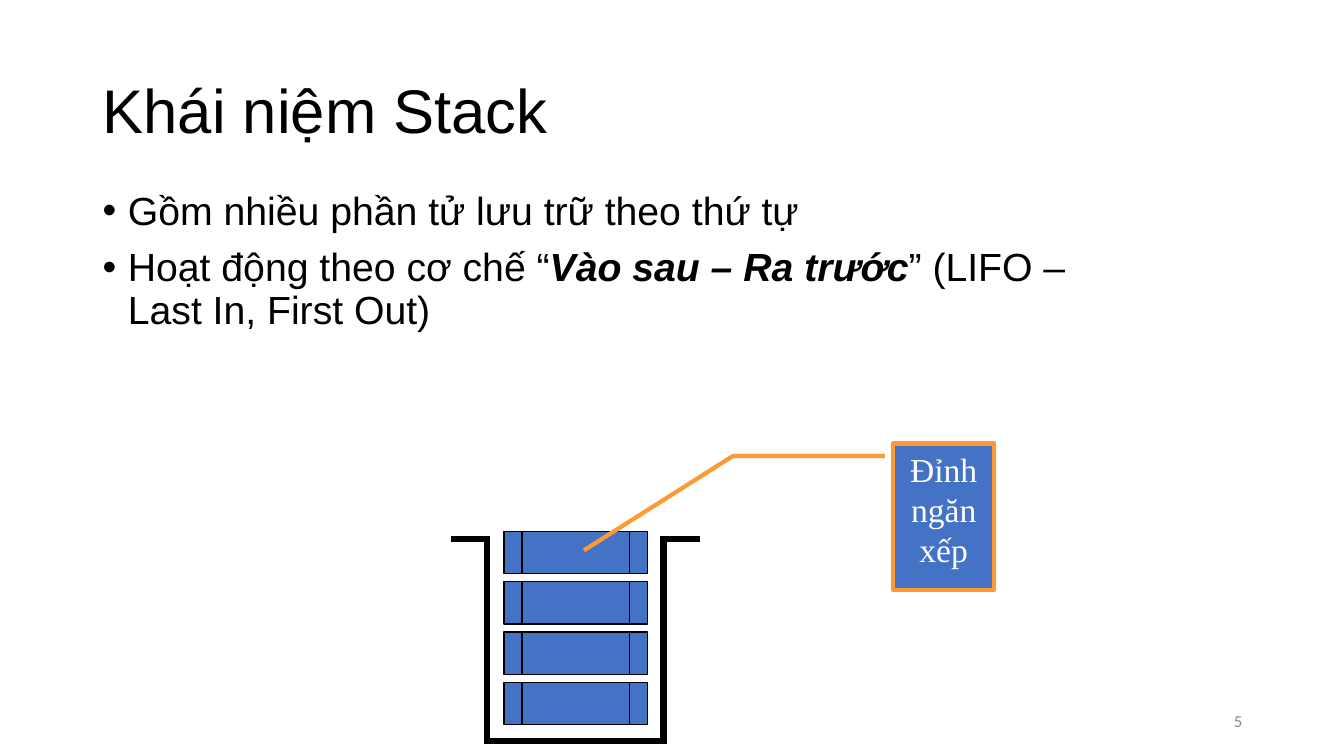
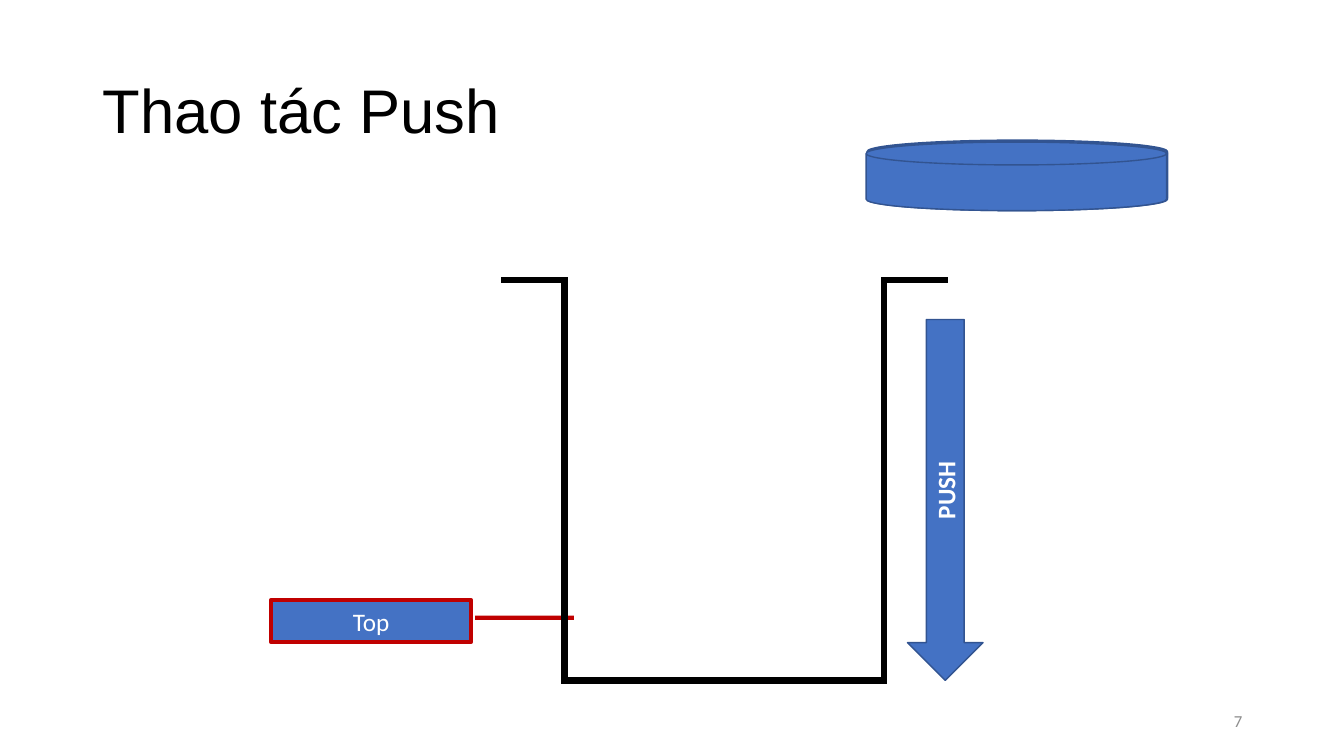
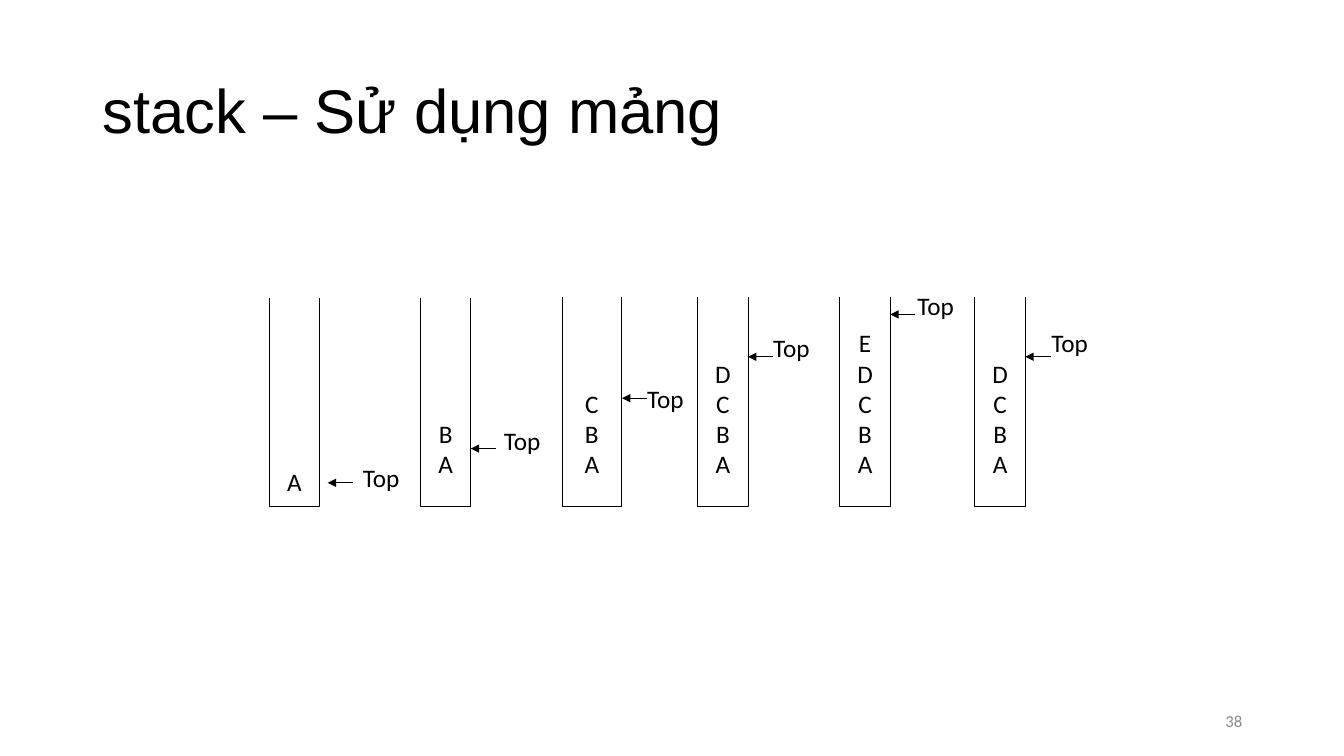
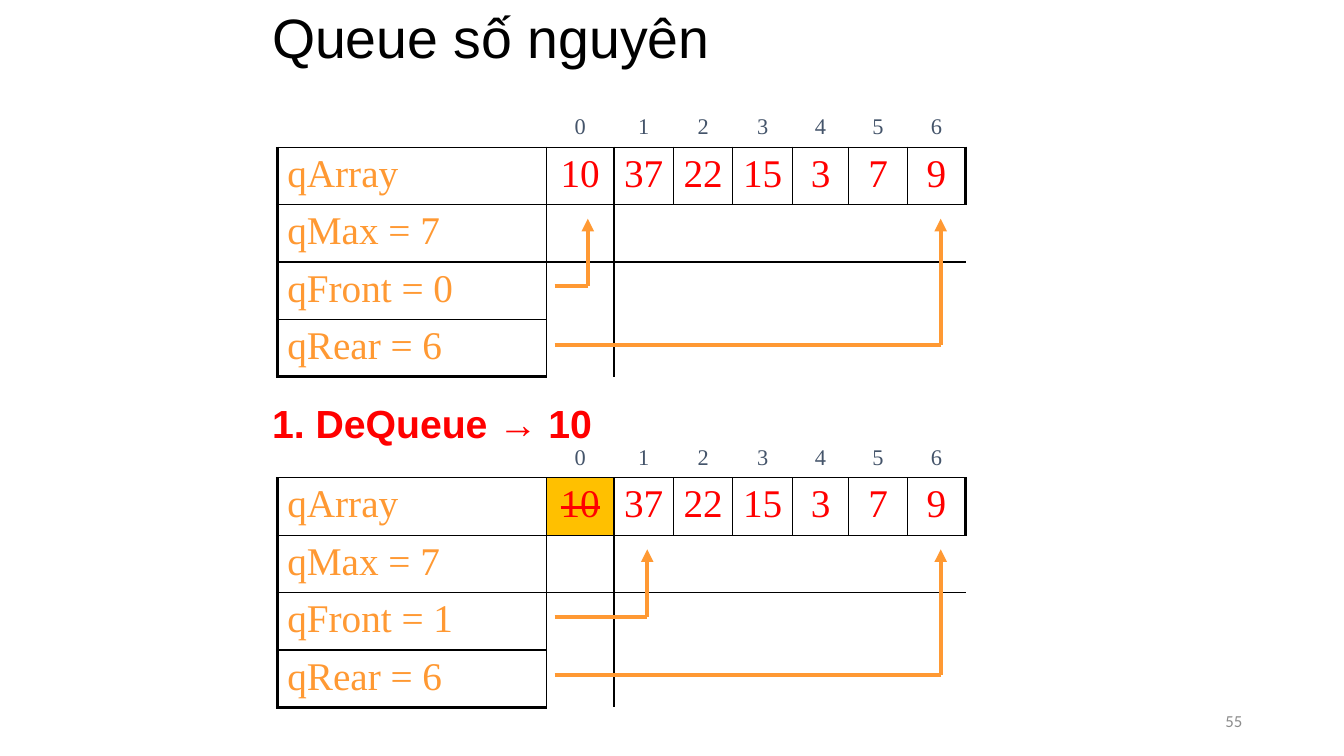
from lxml.etree import SubElement
from pptx import Presentation
from pptx.dml.color import RGBColor
from pptx.enum.shapes import MSO_CONNECTOR, MSO_SHAPE
from pptx.enum.text import MSO_ANCHOR, PP_ALIGN
from pptx.oxml.ns import qn
from pptx.util import Inches, Pt

STRAIGHT = MSO_CONNECTOR.STRAIGHT
RECTANGLE = MSO_SHAPE.RECTANGLE
PROCESS = MSO_SHAPE.FLOWCHART_PREDEFINED_PROCESS
DISK = MSO_SHAPE.FLOWCHART_MAGNETIC_DISK
DOWN_ARROW = MSO_SHAPE.DOWN_ARROW
STRAIGHT_CALLOUT = MSO_SHAPE.LINE_CALLOUT_1
BENT_CALLOUT = MSO_SHAPE.LINE_CALLOUT_2
TOP, MIDDLE, BOTTOM = MSO_ANCHOR.TOP, MSO_ANCHOR.MIDDLE, MSO_ANCHOR.BOTTOM
LEFT, CENTER, RIGHT = PP_ALIGN.LEFT, PP_ALIGN.CENTER, PP_ALIGN.RIGHT

COLORS = {
    "black": "000000",
    "white": "FFFFFF",
    "gray": "8C8C8C",
    "slate": "44546A",
    "blue": "4472C4",
    "navy": "325491",
    "orange": "FF9933",
    "gold": "FFC000",
    "red": "FF0000",
    "dark_red": "C00000",
}
HEADING_FONT = "Arial"
BODY_FONT = "Calibri"
SERIF_FONT = "Times New Roman"
TITLE_BOX = (0.92, 0.4, 11.5, 1.45)
NO_TABLE_STYLE = "{2D5ABB26-0587-4C30-8999-92F81FD0307C}"

QUEUE_LEFT = 2.75
QUEUE_COLUMNS = [2.67, 0.67, 0.59, 0.59, 0.59, 0.56, 0.58, 0.58]
QUEUE_ROWS = [0.37] + [0.57] * 4
QUEUE_VALUES = [10, 37, 22, 15, 3, 7, 9]
REAR_X = 9.33
BORDER_SIDES = {"L": (0, -1), "R": (0, 1), "T": (-1, 0), "B": (1, 0)}


def rgb(color):
    return RGBColor.from_string(COLORS[color])


def inches(values):
    return [Inches(value) for value in values]


def format_text(text_frame, size, font=BODY_FONT, color="black", bold=False,
                align=LEFT, spacing=None, before=None):
    for paragraph in text_frame.paragraphs:
        paragraph.alignment = align
        paragraph.line_spacing = spacing
        paragraph.space_before = before
        for run in paragraph.runs:
            run.font.size = Pt(size)
            run.font.name = font
            run.font.bold = bold
            run.font.color.rgb = rgb(color)


def add_text(slide, box, text, size, anchor=TOP, wrap=True, **style):
    shape = slide.shapes.add_textbox(*inches(box))
    frame = shape.text_frame
    frame.word_wrap = wrap
    frame.vertical_anchor = anchor
    frame.text = text
    format_text(frame, size, **style)
    return frame


def add_box(slide, kind, box, fill="blue", line="black", width=1, adjustments=()):
    shape = slide.shapes.add_shape(kind, *inches(box))
    shape.shadow.inherit = False
    if fill:
        shape.fill.solid()
        shape.fill.fore_color.rgb = rgb(fill)
    else:
        shape.fill.background()
    shape.line.color.rgb = rgb(line)
    shape.line.width = Pt(width)
    for index, value in enumerate(adjustments):
        shape.adjustments[index] = value
    return shape


def label_box(shape, text, size, anchor=MIDDLE, **style):
    shape.text_frame.text = text
    shape.text_frame.word_wrap = True
    shape.text_frame.vertical_anchor = anchor
    format_text(shape.text_frame, size, align=CENTER, **style)


def add_line(slide, start, end, color="black", width=0.75, arrow=False, square=False):
    connector = slide.shapes.add_connector(STRAIGHT, *inches(start + end))
    connector.line.color.rgb = rgb(color)
    connector.line.width = Pt(width)
    properties = connector.element.spPr
    line = properties.find(qn("a:ln"))
    if square:
        line.set("cap", "sq")
    if arrow:
        SubElement(line, qn("a:tailEnd")).set("type", "triangle")
    SubElement(properties, qn("a:effectLst"))


def add_path(slide, points, arrow=False, **style):
    """Join the points with lines; an arrowhead goes on the last one only."""
    segments = list(zip(points, points[1:]))
    for number, (start, end) in enumerate(segments, 1):
        add_line(slide, start, end, arrow=arrow and number == len(segments), **style)


def add_container(slide, left, right, top, bottom, rim):
    points = [(left - rim, top), (left, top), (left, bottom),
              (right, bottom), (right, top), (right + rim, top)]
    add_path(slide, points, width=4.5, square=True)


def add_slide(presentation, title, number, title_box=TITLE_BOX, title_size=44):
    slide = presentation.slides.add_slide(presentation.slide_layouts[6])
    add_text(slide, title_box, title, title_size, MIDDLE, font=HEADING_FONT, spacing=0.9)
    add_text(slide, (9.42, 6.95, 3, 0.4), str(number), 12, MIDDLE,
             color="gray", align=RIGHT)
    return slide


def add_bullet(paragraph):
    properties = paragraph._p.get_or_add_pPr()
    properties.set("marL", str(Inches(0.25)))
    properties.set("indent", str(-Inches(0.25)))
    SubElement(properties, qn("a:buFont")).set("typeface", HEADING_FONT)
    SubElement(properties, qn("a:buChar")).set("char", "•")


def build_concept_slide(presentation):
    slide = add_slide(presentation, "Khái niệm Stack", 5)
    frame = add_text(slide, (0.92, 1.85, 10.06, 4.91),
                     "Gồm nhiều phần tử lưu trữ theo thứ tự\nHoạt động theo cơ chế “", 28)
    mechanism = frame.paragraphs[1]
    emphasis = mechanism.add_run()
    emphasis.text = "Vào sau – Ra trước"
    mechanism.add_run().text = "” (LIFO – Last In, First Out)"
    format_text(frame, 28, HEADING_FONT, spacing=0.9, before=Pt(10))
    emphasis.font.bold = emphasis.font.italic = True
    for paragraph in frame.paragraphs:
        add_bullet(paragraph)

    add_container(slide, 4.83, 6.58, 5.35, 7.35, rim=0.33)
    for level in range(4):
        add_box(slide, PROCESS, (5, 6.77 - 0.5 * level, 1.42, 0.42))
    callout = add_box(slide, BENT_CALLOUT, (8.86, 4.4, 1, 1.45), line="orange", width=3,
                      adjustments=(0.086, -0.083, 0.086, -1.592, 0.731, -3.068))
    label_box(callout, "Đỉnh ngăn xếp", 24, TOP, font=SERIF_FONT, color="white")


def build_push_slide(presentation):
    slide = add_slide(presentation, "Thao tác Push", 7)
    callout = add_box(slide, STRAIGHT_CALLOUT, (2.69, 5.95, 1.98, 0.42), line="dark_red",
                      width=3, adjustments=(0.426, 1.022, 0.427, 1.516))
    label_box(callout, "Top", 18, color="white")
    add_container(slide, 5.6, 8.77, 2.78, 6.75, rim=0.6)
    for left, top in [(8.6, 1.41), (8.6, 1.39), (8.6, 1.4), (8.59, 1.41)]:
        add_box(slide, DISK, (left, top, 2.98, 0.68), line="navy")
    arrow = add_box(slide, DOWN_ARROW, (9, 3.17, 0.75, 3.58), line="navy")
    label_box(arrow, "PUSH", 18, color="white", bold=True)
    arrow.element.txBody.bodyPr.set("vert", "vert270")


def add_stack(slide, left, width, letters, bottom_inset):
    top = 2.95
    stack = add_box(slide, RECTANGLE, (left, top, width, 2.08), fill=None, width=0.75)
    label_box(stack, "\n".join(letters), 18, BOTTOM)
    frame = stack.text_frame
    frame.margin_left = frame.margin_right = 0
    frame.margin_bottom = Inches(bottom_inset)
    add_line(slide, (left, top), (left + width, top), "white")


def add_top_pointer(slide, tip, label_corner):
    x, y = tip
    add_line(slide, (x + 0.25, y), tip, arrow=True)
    add_text(slide, label_corner + (0.57, 0.4), "Top", 18, wrap=False)


def build_array_stack_slide(presentation):
    slide = add_slide(presentation, "stack – Sử dụng mảng", 38)
    # left, width, letters, space below them, arrow tip, label corner
    stacks = [
        (2.67, 0.5, "A", 0.1, (3.25, 4.79), (3.5, 4.54)),
        (4.17, 0.5, "BA", 0.28, (4.67, 4.45), (4.9, 4.17)),
        (5.58, 0.58, "CBA", 0.28, (6.17, 3.95), (6.32, 3.75)),
        (6.92, 0.5, "DCBA", 0.28, (7.42, 3.54), (7.57, 3.25)),
        (8.33, 0.5, "EDCBA", 0.28, (8.83, 3.12), (9, 2.83)),
        (9.67, 0.5, "DCBA", 0.28, (10.17, 3.54), (10.33, 3.2)),
    ]
    for left, width, letters, inset, tip, label_corner in stacks:
        add_stack(slide, left, width, letters, inset)
        add_top_pointer(slide, tip, label_corner)


def is_framed(row, column):
    return row == 1 or (row > 1 and column == 0)


def set_borders(cell, row, column):
    """Rule the array row and the variable column, thicker at the table's edge."""
    properties = cell._tc.get_or_add_tcPr()
    for side, (down, across) in BORDER_SIDES.items():
        next_row, next_column = row + down, column + across
        if not (is_framed(row, column) or is_framed(next_row, next_column)):
            continue
        inside = (0 <= next_row < len(QUEUE_ROWS)
                  and 0 <= next_column < len(QUEUE_COLUMNS))
        line = SubElement(properties, qn("a:ln" + side))
        line.set("w", str(Pt(1 if inside else 2.25)))
        fill = SubElement(line, qn("a:solidFill"))
        SubElement(fill, qn("a:srgbClr")).set("val", COLORS["black"])


def fill_cell(cell, row, column, text):
    set_borders(cell, row, column)
    cell.fill.background()
    if not text:
        cell.margin_top = cell.margin_bottom = 0
        return
    cell.text_frame.text = text
    if row == 0:
        size, color = 16, "slate"
    else:
        size, color = 28, "red" if column else "orange"
    format_text(cell.text_frame, size, SERIF_FONT, color,
                align=CENTER if column else LEFT)


def strike_cell(cell):
    cell.fill.solid()
    cell.fill.fore_color.rgb = rgb("gold")
    for run in cell.text_frame.paragraphs[0].runs:
        run._r.get_or_add_rPr().set("strike", "sngStrike")


def add_queue(slide, top, front, front_x):
    """Draw the queue's table and its front and rear pointers."""
    size = len(QUEUE_VALUES)
    rear = size - 1
    blanks = [""] * size
    rows = [
        [""] + [str(index) for index in range(size)],
        ["qArray"] + [str(value) for value in QUEUE_VALUES],
        [f"qMax = {size}"] + blanks,
        [f"qFront = {front}"] + blanks,
        [f"qRear = {rear}"] + blanks,
    ]
    box = (QUEUE_LEFT, top, sum(QUEUE_COLUMNS), sum(QUEUE_ROWS))
    frame = slide.shapes.add_table(len(rows), size + 1, *inches(box))
    table = frame.table
    table.first_row = table.horz_banding = False
    frame.element.find(".//" + qn("a:tableStyleId")).text = NO_TABLE_STYLE
    for column, width in zip(table.columns, QUEUE_COLUMNS):
        column.width = Inches(width)
    for row, height in zip(table.rows, QUEUE_ROWS):
        row.height = Inches(height)
    for row, texts in enumerate(rows):
        for column, text in enumerate(texts):
            fill_cell(table.cell(row, column), row, column, text)
    for removed in range(front):
        strike_cell(table.cell(1, removed + 1))
    for x, offset in [(front_x, 1.75), (REAR_X, 2.33)]:
        points = [(5.5, top + offset), (x, top + offset), (x, top + 1.08)]
        add_path(slide, points, arrow=True, color="orange", width=3)


def build_queue_slide(presentation):
    slide = add_slide(presentation, "Queue số nguyên", 55, (2.6, 0.05, 8.12, 0.7), 39.6)
    add_text(slide, (2.6, 3.97, 8.48, 0.7), "1. DeQueue → 10", 28, font=HEADING_FONT,
             color="red", bold=True, spacing=0.9, before=Pt(10))
    add_queue(slide, 1.09, front=0, front_x=5.83)
    add_queue(slide, 4.37, front=1, front_x=6.42)


def main():
    presentation = Presentation()
    presentation.slide_width = Inches(13.33)
    presentation.slide_height = Inches(7.5)
    build_concept_slide(presentation)
    build_push_slide(presentation)
    build_array_stack_slide(presentation)
    build_queue_slide(presentation)
    presentation.save("out.pptx")


if __name__ == "__main__":
    main()
